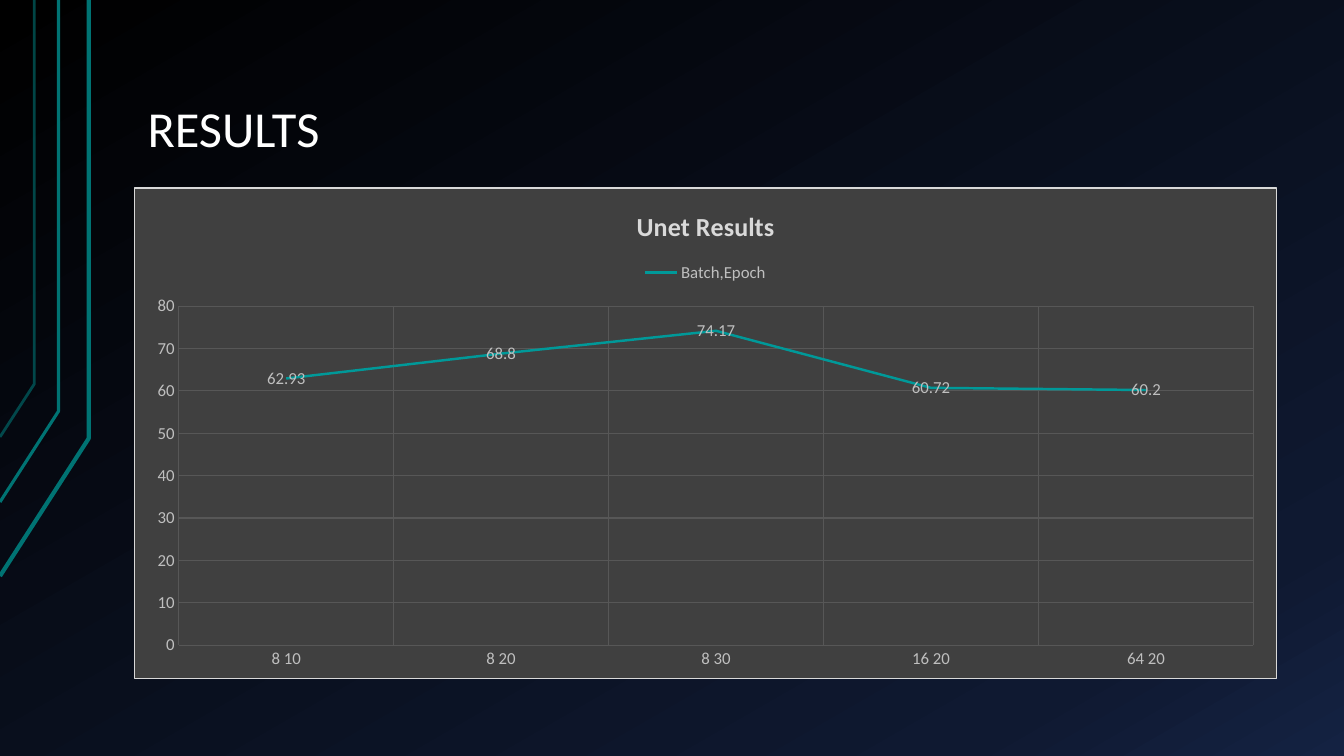
from copy import deepcopy

from lxml import etree
from pptx import Presentation
from pptx.chart.data import CategoryChartData
from pptx.dml.color import RGBColor
from pptx.enum.chart import (XL_CHART_TYPE, XL_LABEL_POSITION,
                             XL_LEGEND_POSITION, XL_MARKER_STYLE, XL_TICK_MARK)
from pptx.enum.text import MSO_ANCHOR
from pptx.oxml.ns import qn
from pptx.util import Inches, Pt

LINE_CHART = XL_CHART_TYPE.LINE
LABEL_CENTER = XL_LABEL_POSITION.CENTER
LEGEND_TOP = XL_LEGEND_POSITION.TOP
NO_MARKER = XL_MARKER_STYLE.NONE
NO_TICK = XL_TICK_MARK.NONE
BOTTOM = MSO_ANCHOR.BOTTOM

COLUMNS, ROWS = 40, 100
FONT = "Calibri"
WHITE, PALE, MUTED = "FFFFFF", "D9D9D9", "BFBFBF"
PANEL, GRID = "404040", "575757"
TEAL, DARK_TEAL = "009999", "007373"
BACKDROP = [(0, "000000"), (0.85, "0F1931"), (1, "142242")]


def rgb(hex_color):
    return RGBColor.from_string(hex_color)


def style_font(font, size, color, bold=False):
    font.name, font.size, font.bold = FONT, Pt(size), bold
    font.color.rgb = rgb(color)


def style_line(line, color, width):
    line.color.rgb = rgb(color)
    line.width = Pt(width)


class SlideBuilder:
    """Places styled elements on a grid of 40 columns by 100 rows."""

    def __init__(self, presentation):
        self.slide = presentation.slides.add_slide(presentation.slide_layouts[6])
        self.column = presentation.slide_width / COLUMNS
        self.row = presentation.slide_height / ROWS

    def place(self, column, row):
        return round(column * self.column), round(row * self.row)

    def background(self, stops, clockwise_angle):
        fill = self.slide.background.fill
        fill.gradient()
        fill.gradient_angle = 360 - clockwise_angle
        first = fill.gradient_stops[0]._gs
        first.getparent().append(deepcopy(first))
        for stop, (position, color) in zip(fill.gradient_stops, stops):
            stop.position = position
            stop.color.rgb = rgb(color)

    def polyline(self, points, color, width, opacity=100):
        start, *rest = [self.place(*point) for point in points]
        builder = self.slide.shapes.build_freeform(*start)
        builder.add_line_segments(rest, close=False)
        shape = builder.convert_to_shape()
        shape.shadow.inherit = False
        shape.fill.background()
        style_line(shape.line, color, width)
        if opacity < 100:
            stroke = shape.line._ln.find(".//" + qn("a:srgbClr"))
            etree.SubElement(stroke, qn("a:alpha"), val=str(opacity * 1000))

    def title(self, text, position, extent, size):
        box = self.slide.shapes.add_textbox(*self.place(*position), *self.place(*extent))
        frame = box.text_frame
        frame.word_wrap = True
        frame.vertical_anchor = BOTTOM
        frame.margin_left = frame.margin_right = Inches(0.13)
        frame.margin_top = frame.margin_bottom = Inches(0.07)
        paragraph = frame.paragraphs[0]
        paragraph.text = text
        paragraph.line_spacing = 0.9
        style_font(paragraph.font, size, WHITE)

    def line_chart(self, heading, series_name, results, position, extent):
        data = CategoryChartData()
        data.categories = list(results)
        data.add_series(series_name, list(results.values()))
        chart = self.slide.shapes.add_chart(
            LINE_CHART, *self.place(*position), *self.place(*extent), data).chart
        style_font(chart.font, 10, WHITE)
        self.chart_panel(chart)

        chart.has_title = True
        heading_paragraph = chart.chart_title.text_frame.paragraphs[0]
        heading_paragraph.text = heading
        style_font(heading_paragraph.font, 18.6, PALE, bold=True)
        chart.chart_title.include_in_layout = False

        chart.has_legend = True
        chart.legend.position = LEGEND_TOP
        chart.legend.include_in_layout = False
        style_font(chart.legend.font, 12, MUTED)

        for axis in (chart.category_axis, chart.value_axis):
            axis.major_tick_mark = axis.minor_tick_mark = NO_TICK
            axis.has_major_gridlines = True
            style_line(axis.major_gridlines.format.line, GRID, 0.75)
            axis.format.line.fill.background()
            style_font(axis.tick_labels.font, 12, MUTED)
        chart.value_axis.minimum_scale = 0
        chart.value_axis.maximum_scale = 80
        chart.value_axis.major_unit = 10

        plot = chart.plots[0]
        plot.vary_by_categories = False
        accuracy = plot.series[0]
        accuracy.smooth = False
        accuracy.marker.style = NO_MARKER
        style_line(accuracy.format.line, TEAL, 1.75)
        labels = accuracy.data_labels
        labels.show_value = True
        labels.position = LABEL_CENTER
        style_font(labels.font, 12, MUTED)

    def chart_panel(self, chart):
        """Fill and outline the whole chart area."""
        properties = etree.Element(qn("c:spPr"))
        fill = etree.SubElement(properties, qn("a:solidFill"))
        etree.SubElement(fill, qn("a:srgbClr"), val=PANEL)
        border = etree.SubElement(properties, qn("a:ln"), w=str(Pt(0.75)))
        border_fill = etree.SubElement(border, qn("a:solidFill"))
        etree.SubElement(border_fill, qn("a:srgbClr"), val=PALE)
        chart._chartSpace.find(qn("c:chart")).addnext(properties)


def main():
    presentation = Presentation()
    presentation.slide_width = Inches(13.33)
    presentation.slide_height = Inches(7.5)
    results_slide = SlideBuilder(presentation)
    results_slide.background(BACKDROP, 60)

    # Column of the upright, row of its bend, row at the left edge, width, opacity
    rails = [(2.64, 58, 76.2, 3, 100),
             (1.74, 54.4, 66.4, 2.25, 100),
             (1.02, 50.8, 57.8, 2, 60)]
    for column, bend, edge, width, opacity in rails:
        results_slide.polyline([(0, edge), (column, bend), (column, 0)],
                               DARK_TEAL, width, opacity)

    results_slide.title("RESULTS", (4, 4), (34, 17.87), 36)
    unet_scores = {"8 10": 62.93, "8 20": 68.8, "8 30": 74.17,
                   "16 20": 60.72, "64 20": 60.2}
    results_slide.line_chart("Unet Results", "Batch,Epoch", unet_scores,
                             (4, 24.8), (34, 65.07))
    presentation.save("out.pptx")


if __name__ == "__main__":
    main()
